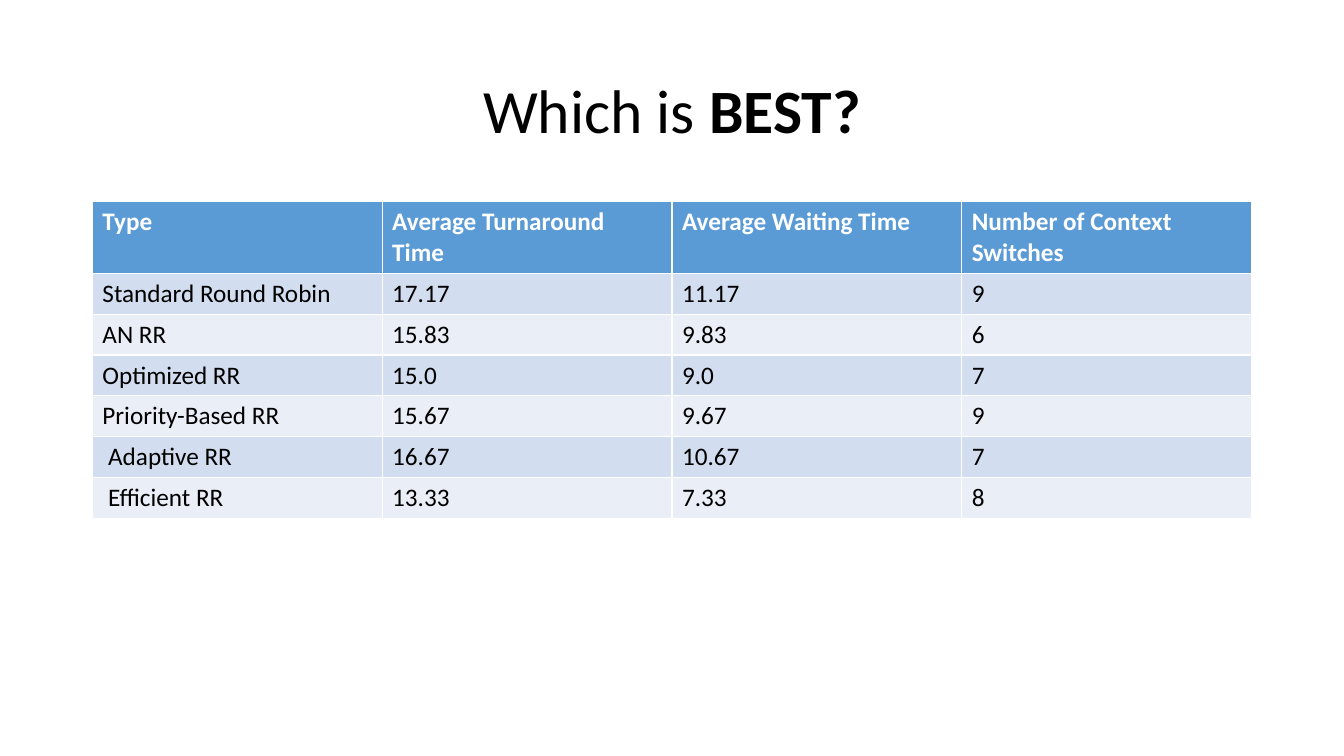
import pptx
import pptx.dml.color
import pptx.enum.text
import pptx.util

Pt = pptx.util.Pt


def color(hex_string):
    return pptx.dml.color.RGBColor.from_string(hex_string)


def style_span(span, size, hex_string, bold):
    span.font.name = "Calibri"
    span.font.size = Pt(size)
    span.font.bold = bold
    span.font.color.rgb = color(hex_string)


deck = pptx.Presentation()
deck.slide_width = Pt(960)
deck.slide_height = Pt(540)
page = deck.slides.add_slide(deck.slide_layouts[5])

title = page.shapes.title
title.left, title.top, title.width, title.height = Pt(66), Pt(28.75), Pt(828), Pt(104.4)
title.text_frame.vertical_anchor = pptx.enum.text.MSO_ANCHOR.MIDDLE
title.text_frame.text = "Which is "
para = title.text_frame.paragraphs[0]
para.alignment = pptx.enum.text.PP_ALIGN.CENTER
para.line_spacing = 0.9
para.add_run().text = "BEST?"
for span, bold in zip(para.runs, (False, True)):
    style_span(span, 44, "000000", bold)

results = [
    ("Type", "Average Turnaround Time", "Average Waiting Time", "Number of Context Switches"),
    ("Standard Round Robin", "17.17", "11.17", "9"),
    ("AN RR", "15.83", "9.83", "6"),
    ("Optimized RR", "15.0", "9.0", "7"),
    ("Priority-Based RR", "15.67", "9.67", "9"),
    (" Adaptive RR", "16.67", "10.67", "7"),
    (" Efficient RR", "13.33", "7.33", "8"),
]
row_height = 29.2
table = page.shapes.add_table(
    len(results), len(results[0]), Pt(66), Pt(144), Pt(828), Pt(row_height * len(results))
).table

for row_index, values in enumerate(results):
    is_header = row_index == 0
    if is_header:
        fill_color = "5B9BD5"
    else:
        fill_color = "D2DEEF" if row_index % 2 else "EAEFF7"
    for column_index, value in enumerate(values):
        cell = table.cell(row_index, column_index)
        cell.fill.solid()
        cell.fill.fore_color.rgb = color(fill_color)
        cell.text_frame.text = value
        span = cell.text_frame.paragraphs[0].runs[0]
        style_span(span, 18, "FFFFFF" if is_header else "000000", is_header)

deck.save("out.pptx")
